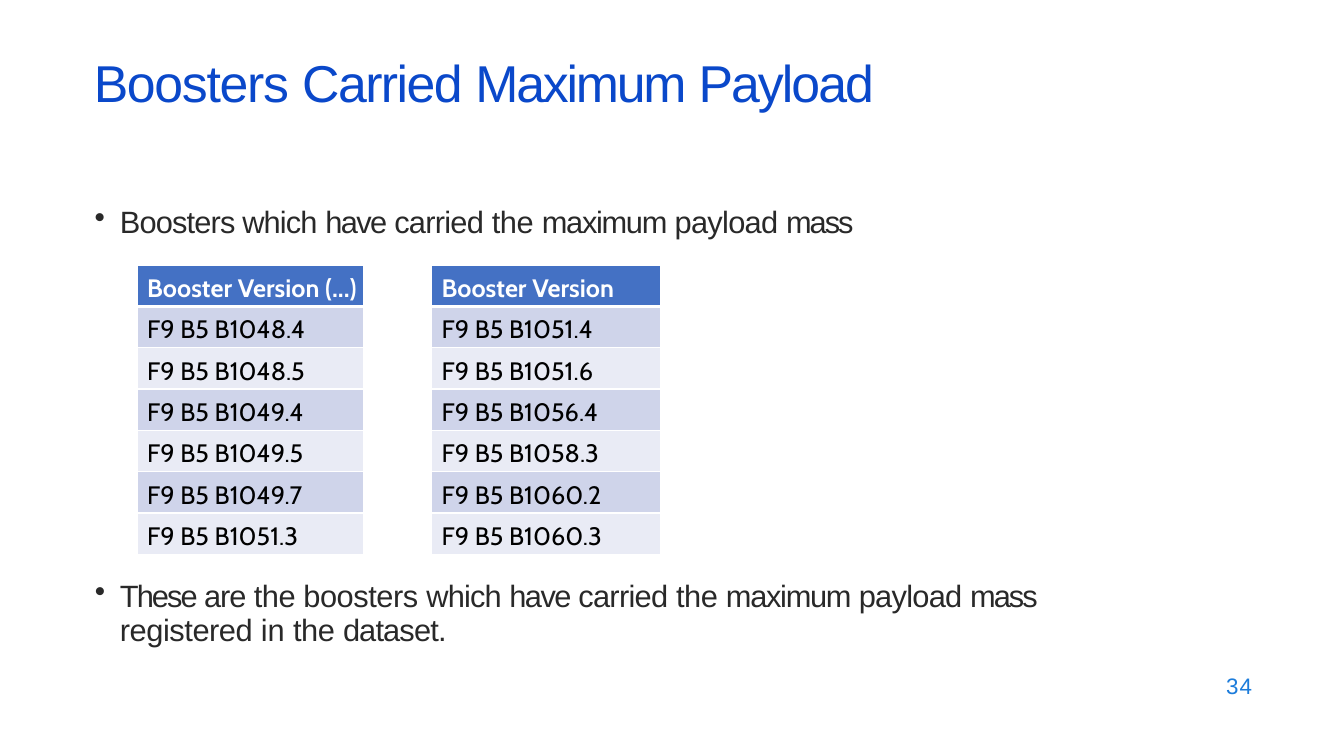
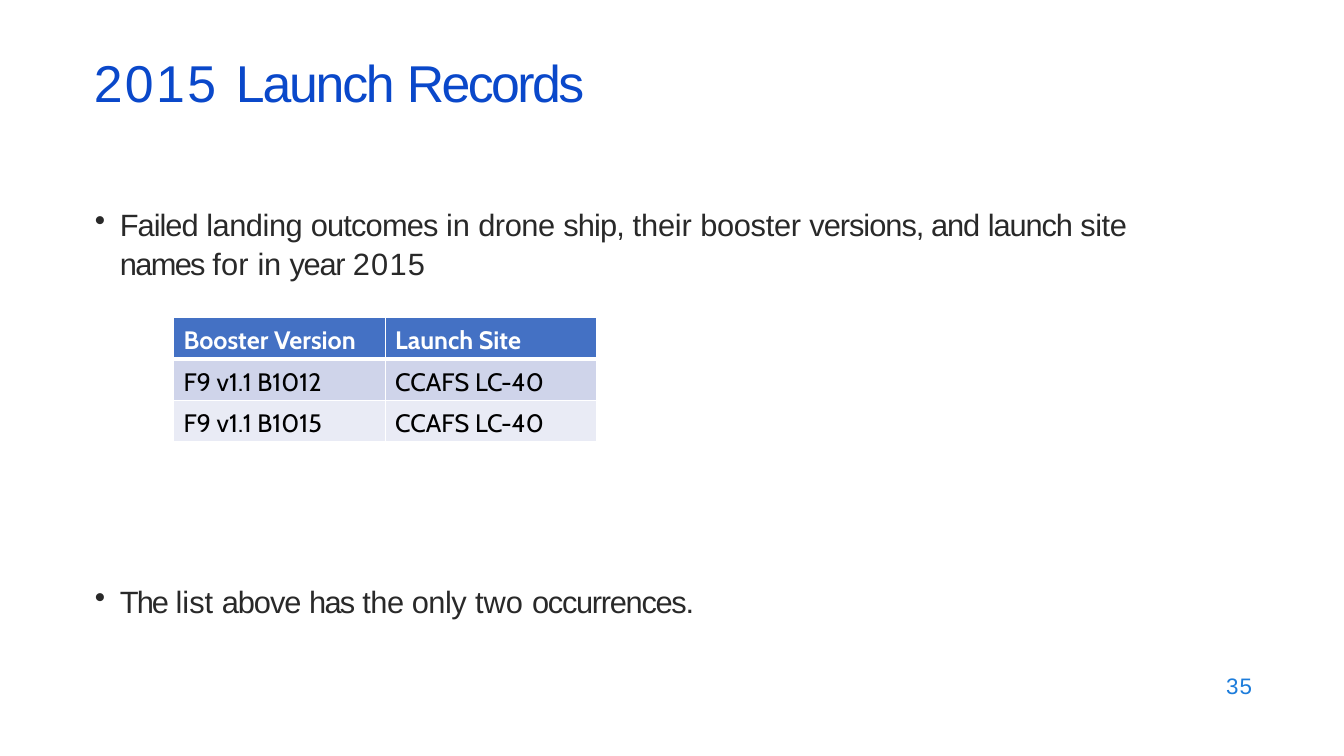
from dataclasses import dataclass

from lxml import etree
from pptx import Presentation
from pptx.dml.color import RGBColor
from pptx.enum import text as txt
from pptx.oxml import ns
from pptx.util import Emu, Inches, Pt

WIDE, HIGH = Inches(13.33), Inches(7.5)
COL, ROW = WIDE / 133.3, HIGH / 75
HUES = {
    "title": "0A48CA",
    "body": "292929",
    "page": "1C7CDB",
    "head": "4471C4",
    "odd": "CFD4EA",
    "even": "E9EBF5",
    "white": "FFFFFF",
    "black": "000000",
}
LEFT = 9.3
LINE = 4.1
THIN, THICK = 1, 3
Runs = list[tuple[str, float]]


@dataclass(frozen=True)
class Style:
    hue: str
    size: float
    inset: float = 0.02
    lead: float | Pt = 1.04
    mark: bool = False


@dataclass(frozen=True)
class Box:
    left: float
    top: float
    width: float
    height: float
    style: Style
    runs: Runs


@dataclass(frozen=True)
class Grid:
    left: float
    top: float
    width: float
    rows: list[list[str]]


@dataclass(frozen=True)
class Page:
    number: int
    boxes: list[Box]
    grids: list[Grid]


TITLE = Style("title", 37)
POINT = Style("body", 22, mark=True)
DENSE = Style("body", 22, 0.11, Pt(23.8), True)
FOLIO = Style("page", 16, 0, Pt(18.4))


def tint(hue: str) -> RGBColor:
    return RGBColor.from_string(HUES[hue])


def across(cols: float) -> Emu:
    return Emu(round(cols * COL))


def down(rows: float) -> Emu:
    return Emu(round(rows * ROW))


def draw_box(slide, box: Box) -> None:
    style = box.style
    shape = slide.shapes.add_textbox(
        across(box.left), down(box.top), across(box.width), down(box.height)
    )
    frame = shape.text_frame
    frame.word_wrap = True
    frame.auto_size = txt.MSO_AUTO_SIZE.SHAPE_TO_FIT_TEXT
    frame.margin_left = frame.margin_right = frame.margin_bottom = 0
    frame.margin_top = Inches(style.inset)
    para = frame.paragraphs[0]
    if style.mark:
        props = para._p.get_or_add_pPr()
        props.set("marL", str(Inches(0.26)))
        props.set("indent", str(Inches(-0.25)))
        etree.SubElement(props, ns.qn("a:buChar")).set("char", "•")
    para.line_spacing = style.lead
    for words, gap in box.runs:
        run = para.add_run()
        run.text = words
        run.font.name = "Arial"
        run.font.size = Pt(style.size)
        run.font.color.rgb = tint(style.hue)
        run._r.get_or_add_rPr().set("spc", str(round(gap * 100)))


def edge_cell(cell, top: float, base: float) -> None:
    props = cell._tc.get_or_add_tcPr()
    sides = {"lnL": THIN, "lnR": THIN, "lnT": top, "lnB": base}
    for spot, (side, width) in enumerate(sides.items()):
        line = etree.Element(ns.qn(f"a:{side}"), w=str(Pt(width)))
        fill = etree.SubElement(line, ns.qn("a:solidFill"))
        etree.SubElement(fill, ns.qn("a:srgbClr")).set("val", HUES["white"])
        props.insert(spot, line)


def draw_cell(cell, words: str, row: int) -> None:
    head = row == 0
    cell.fill.solid()
    cell.fill.fore_color.rgb = tint("head" if head else "odd" if row % 2 else "even")
    cell.margin_left, cell.margin_right = Inches(0.1), 0
    cell.margin_top, cell.margin_bottom = Inches(0.08), 0
    cell.text_frame.text = words
    font = cell.text_frame.paragraphs[0].runs[0].font
    font.name = "Cabin"
    font.size = Pt(18)
    font.bold = head
    font.color.rgb = tint("white" if head else "black")
    edge_cell(cell, THICK if row == 1 else THIN, THICK if head else THIN)


def draw_grid(slide, grid: Grid) -> None:
    deep, wide = len(grid.rows), len(grid.rows[0])
    table = slide.shapes.add_table(
        deep, wide, across(grid.left), down(grid.top),
        across(grid.width * wide), down(LINE * deep),
    ).table
    for row, line in enumerate(grid.rows):
        for col, words in enumerate(line):
            draw_cell(table.cell(row, col), words, row)


def draw_page(deck, page: Page) -> None:
    slide = deck.slides.add_slide(deck.slide_layouts[6])
    folio = Box(121.6, 66.8, 3.1, 2.8, FOLIO, [(str(page.number), 0.8)])
    for box in [*page.boxes, folio]:
        draw_box(slide, box)
    for grid in page.grids:
        draw_grid(slide, grid)


def list_rows(head: str, codes: str) -> list[list[str]]:
    return [[head]] + [[f"F9 B5 {code}"] for code in codes.split()]


PAGES = [
    Page(
        34,
        [
            Box(LEFT, 4.6, 78.1, 6.5, TITLE, [
                ("Boosters ", -0.9), ("Carried ", -1.1),
                ("Maximum ", -1.6), ("Payload", -1.4),
            ]),
            Box(LEFT, 19.8, 76.4, 3.9, POINT, [
                ("Boosters which ", -0.6), ("have ", -1.1), ("carried ", -0.5),
                ("the ", -0.3), ("maximum ", -0.9), ("payload ", -0.5),
                ("mass", -1.4),
            ]),
            Box(LEFT, 56.5, 94.8, 7.3, DENSE, [
                ("These ", -1.4), ("are ", -0.8), ("the boosters ", -0.3),
                ("which ", -0.6), ("have ", -1.1), ("carried ", -0.5),
                ("the ", -0.3), ("maximum ", -0.9), ("payload ", -0.5),
                ("mass ", -1.4), ("registered ", -0.3), ("in ", -0.1),
                ("the ", -0.3), ("dataset.", -0.6),
            ]),
        ],
        [
            Grid(13.6, 26.3, 22.5, list_rows(
                "Booster Version (...)",
                "B1048.4 B1048.5 B1049.4 B1049.5 B1049.7 B1051.3",
            )),
            Grid(42.8, 26.3, 22.7, list_rows(
                "Booster Version",
                "B1051.4 B1051.6 B1056.4 B1058.3 B1060.2 B1060.3",
            )),
        ],
    ),
    Page(
        35,
        [
            Box(LEFT, 4.6, 48.9, 6.5, TITLE, [
                ("2015 ", 1.8), ("Launch ", -1.6), ("Records", -1.8),
            ]),
            Box(LEFT, 20.1, 104.1, 7.6, POINT, [
                ("Failed ", -0.7), ("landing ", -0.3), ("outcomes ", -0.6),
                ("in ", -0.1), ("drone ", -0.3), ("ship, ", -0.6),
                ("their ", -0.1), ("booster ", -0.2), ("versions, and ", -0.7),
                ("launch ", -0.8), ("site ", -0.3), ("names ", -1.2),
                ("for ", 0.1), ("in ", -0.1), ("year ", -0.9), ("2015", 0.9),
            ]),
            Box(LEFT, 57.5, 60.5, 3.9, POINT, [
                ("The ", -1.4), ("list ", 0), ("above ", -0.7), ("has ", -1.2),
                ("the only ", -0.3), ("two ", 0.1), ("occurrences.", -0.9),
            ]),
        ],
        [
            Grid(17.2, 31.5, 21, [
                ["Booster Version", "Launch Site"],
                ["F9 v1.1 B1012", "CCAFS LC-40"],
                ["F9 v1.1 B1015", "CCAFS LC-40"],
            ]),
        ],
    ),
]


def main() -> None:
    deck = Presentation()
    deck.slide_width, deck.slide_height = WIDE, HIGH
    for page in PAGES:
        draw_page(deck, page)
    deck.save("out.pptx")


if __name__ == "__main__":
    main()
